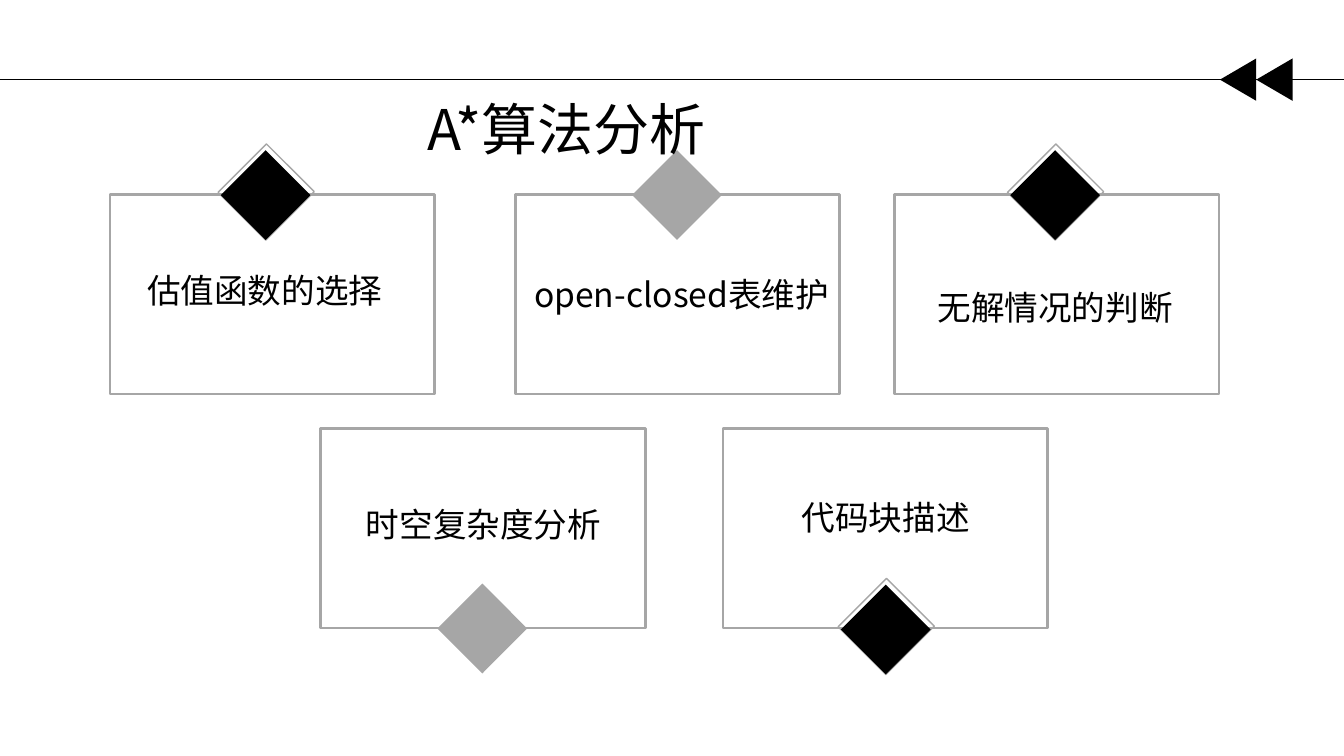
from lxml.etree import SubElement
from pptx import Presentation
from pptx.dml.color import RGBColor
from pptx.enum.shapes import MSO_CONNECTOR, MSO_SHAPE
from pptx.enum.text import MSO_AUTO_SIZE, PP_ALIGN
from pptx.oxml.ns import qn
from pptx.util import Inches, Pt

FONT = "Noto Sans CJK SC"
BLACK = "000000"
GREY = "A6A6A6"
CARD_WIDTH, CARD_HEIGHT = 3.22, 1.98
TOP_ROW, BOTTOM_ROW = 1.93, 4.25
DIAMOND_SIDE = 0.63

CARDS = [(1.09, TOP_ROW), (5.11, TOP_ROW), (8.87, TOP_ROW),
         (3.18, BOTTOM_ROW), (7.17, BOTTOM_ROW)]
OUTLINED_DIAMONDS = [(2.32, 1.62), (10.15, 1.62), (8.47, 5.93)]
GREY_DIAMONDS = [(6.4, 1.62), (4.47, 5.92)]
LABELS = [
    ("估值函数的选择", 1.24, 2.63, 2.77),
    ("open-closed表维护", 5.15, 2.67, 3.22),
    ("时空复杂度分析", 3.41, 4.95, 2.77),
    ("代码块描述", 7.4, 4.88, 2.77),
    ("无解情况的判断", 9.08, 2.8, 2.77),
]


def color(value):
    """Turn a hex string into a colour."""
    return RGBColor.from_string(value)


def add_block(shapes, kind, left, top, width, height, fill=None, line=None,
              line_width=1, rotation=0):
    """Add a preset shape with a plain fill or outline."""
    shape = shapes.add_shape(kind, Inches(left), Inches(top), Inches(width), Inches(height))
    shape.shadow.inherit = False
    shape.rotation = rotation
    if fill:
        shape.fill.solid()
        shape.fill.fore_color.rgb = color(fill)
    else:
        shape.fill.background()
    if line:
        shape.line.color.rgb = color(line)
        shape.line.width = Pt(line_width)
    else:
        shape.line.fill.background()


def add_diamond(shapes, left, top, fill):
    """Add a filled square standing on its corner."""
    add_block(shapes, MSO_SHAPE.RECTANGLE, left, top, DIAMOND_SIDE, DIAMOND_SIDE,
              fill=fill, rotation=315)


def add_outlined_diamond(slide, left, top):
    """Add a black diamond with a thin grey outline peeking out above it."""
    shapes = slide.shapes.add_group_shape().shapes
    add_block(shapes, MSO_SHAPE.RECTANGLE, left - 0.02, top - 0.05, 0.68, 0.67,
              line=GREY, rotation=315)
    add_diamond(shapes, left, top, BLACK)


def add_header_rule(slide):
    """Add the header line with its two arrowhead triangles."""
    shapes = slide.shapes.add_group_shape().shapes
    rule = shapes.add_connector(MSO_CONNECTOR.STRAIGHT, Inches(0), Inches(0.79),
                                Inches(13.33), Inches(0.79))
    rule.line.color.rgb = color(BLACK)
    rule.line.width = Pt(0.5)
    SubElement(rule.element.spPr, qn("a:effectLst"))
    for left in (12.43, 12.07):
        add_block(shapes, MSO_SHAPE.ISOSCELES_TRIANGLE, left, 0.61, 0.42, 0.36,
                  fill=BLACK, rotation=270)


def add_text(slide, text, left, top, width, height=0.5, size=24, align=PP_ALIGN.CENTER):
    """Add a one-line text box."""
    box = slide.shapes.add_textbox(Inches(left), Inches(top), Inches(width), Inches(height))
    frame = box.text_frame
    frame.word_wrap = True
    frame.auto_size = MSO_AUTO_SIZE.SHAPE_TO_FIT_TEXT
    frame.text = text
    paragraph = frame.paragraphs[0]
    paragraph.alignment = align
    font = paragraph.runs[0].font
    font.size = Pt(size)
    font.color.rgb = color(BLACK)
    font.name = FONT
    properties = paragraph.runs[0]._r.get_or_add_rPr()
    SubElement(properties, qn("a:ea"), typeface=FONT)


def main():
    """Build the slide and save it."""
    presentation = Presentation()
    presentation.slide_width = Inches(13.33)
    presentation.slide_height = Inches(7.5)
    slide = presentation.slides.add_slide(presentation.slide_layouts[6])
    for left, top in CARDS:
        add_block(slide.shapes, MSO_SHAPE.RECTANGLE, left, top, CARD_WIDTH, CARD_HEIGHT,
                  line=GREY, line_width=2)
    for left, top in OUTLINED_DIAMONDS:
        add_outlined_diamond(slide, left, top)
    for left, top in GREY_DIAMONDS:
        add_diamond(slide.shapes, left, top, GREY)
    add_header_rule(slide)
    add_text(slide, "A*算法分析", 4.14, 0.89, 4.58, 0.77, 40, PP_ALIGN.JUSTIFY)
    for text, left, top, width in LABELS:
        add_text(slide, text, left, top, width)
    presentation.save("out.pptx")


if __name__ == "__main__":
    main()
